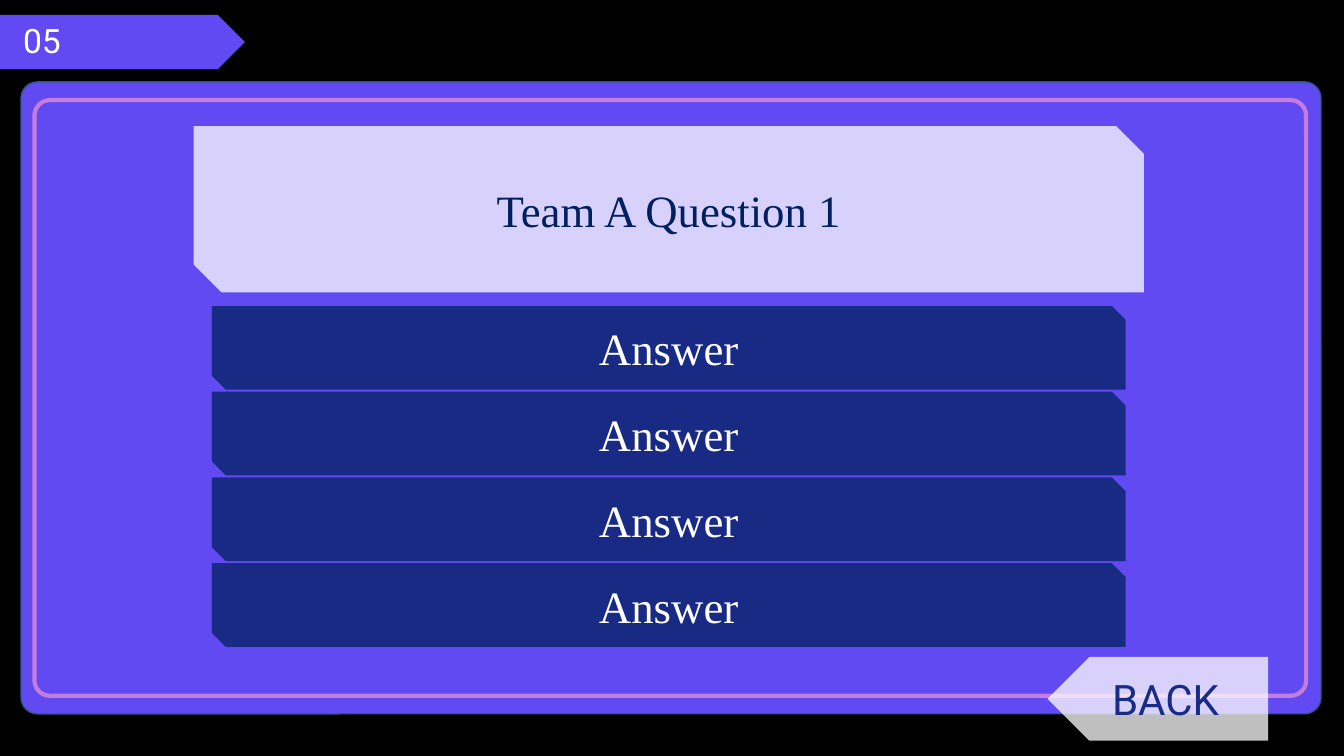
import pptx
import pptx.dml.color
import pptx.enum.shapes
import pptx.enum.text
import pptx.oxml
import pptx.oxml.ns
import pptx.util

Pt = pptx.util.Pt
RGBColor = pptx.dml.color.RGBColor
SHAPE = pptx.enum.shapes.MSO_SHAPE
ALIGN = pptx.enum.text.PP_ALIGN
ANCHOR = pptx.enum.text.MSO_ANCHOR

BLACK = RGBColor(0x00, 0x00, 0x00)
WHITE = RGBColor(0xFF, 0xFF, 0xFF)
VIOLET = RGBColor(0x61, 0x4A, 0xF1)
PINK = RGBColor(0xC4, 0x7C, 0xDE)
STEEL = RGBColor(0x32, 0x54, 0x91)
NAVY = RGBColor(0x00, 0x20, 0x60)
BLUE = RGBColor(0x18, 0x2B, 0x85)

SERIF = "Times New Roman"
SANS = "Roboto"


def add_shape(s, kind, box, fill=None, alpha=None, line=None, width=1, adj=None):
    sp = s.shapes.add_shape(kind, *map(Pt, box))
    sp.shadow.inherit = False
    if adj is not None:
        sp.adjustments[0] = adj
    if fill is None:
        sp.fill.background()
    else:
        sp.fill.solid()
        sp.fill.fore_color.rgb = fill
    if alpha is not None:
        clr = sp.fill._xPr.find(".//" + pptx.oxml.ns.qn("a:srgbClr"))
        clr.append(pptx.oxml.parse_xml(
            f'<a:alpha {pptx.oxml.ns.nsdecls("a")} val="{alpha * 1000}"/>'))
    if line is None:
        sp.line.fill.background()
    else:
        sp.line.color.rgb = line
        sp.line.width = Pt(width)
    return sp


def write(sp, text, size=32, font=SERIF, color=WHITE, align=ALIGN.CENTER,
          anchor=ANCHOR.MIDDLE, wrap=True):
    tf = sp.text_frame
    tf.word_wrap = wrap
    tf.vertical_anchor = anchor
    p = tf.paragraphs[0]
    p.alignment = align
    r = p.add_run()
    r.text = text
    r.font.size = Pt(size)
    r.font.name = font
    r.font.color.rgb = color


def add_label(s, text, box, **fmt):
    sp = s.shapes.add_textbox(*map(Pt, box))
    write(sp, text, font=SANS, anchor=ANCHOR.TOP, **fmt)


def add_number_tag(s, x, y, w, h, text):
    add_shape(s, SHAPE.PENTAGON, (x, y, w, h), fill=VIOLET)
    add_label(s, text, (x - 26, y, 112, 36), size=24)


def add_panel(s, x, y, w, h):
    add_shape(s, SHAPE.ROUNDED_RECTANGLE, (x, y, w, h), fill=VIOLET,
              line=STEEL, adj=0.026)
    add_shape(s, SHAPE.ROUNDED_RECTANGLE,
              (x + 9.6, y + 13, w - 20.2, h - 25.9),
              line=PINK, width=3, adj=0.026)


def add_quiz(s, x, y, w, question, answers):
    sp = add_shape(s, SHAPE.SNIP_2_DIAG_RECTANGLE, (x, y, w, 118.8),
                   fill=WHITE, alpha=75)
    write(sp, question, color=NAVY)
    inset, top, pitch, height = 13, y + 128.6, 61.25, 59.8
    for i, answer in enumerate(answers):
        box = (x + inset, top + i * pitch, w - 2 * inset, height)
        sp = add_shape(s, SHAPE.SNIP_2_DIAG_RECTANGLE, box, fill=NAVY, alpha=75)
        write(sp, answer)


def add_back_button(s, x, y, w, h, text):
    sp = add_shape(s, SHAPE.PENTAGON, (x, y, w, h), fill=WHITE, alpha=75)
    sp._element.spPr.xfrm.set("flipH", "1")
    add_label(s, text, (x + 39, y + 8, 98, 44), size=30, color=BLUE,
              align=ALIGN.LEFT, wrap=False)


def main():
    prs = pptx.Presentation()
    prs.slide_width, prs.slide_height = Pt(960), Pt(540)
    s = prs.slides.add_slide(prs.slide_layouts[6])
    s.background.fill.solid()
    s.background.fill.fore_color.rgb = BLACK
    add_panel(s, 15, 58.5, 928.6, 451.4)
    add_number_tag(s, 0, 10.6, 175, 38.8, "05")
    add_quiz(s, 138.3, 90, 678.8, "Team A Question 1", ["Answer"] * 4)
    add_back_button(s, 748.2, 469.3, 157.6, 59.8, "BACK")
    prs.save("out.pptx")


if __name__ == "__main__":
    main()
